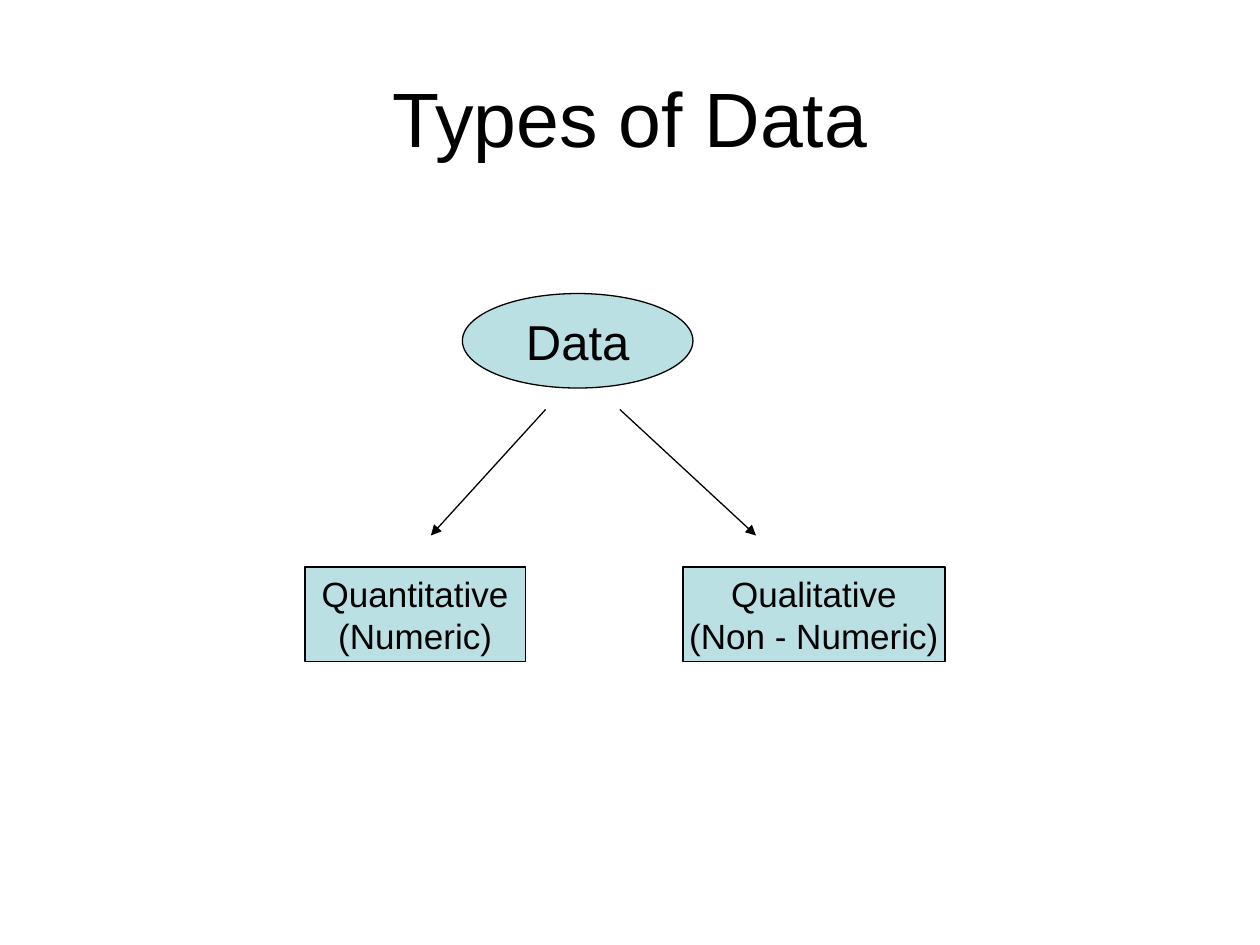
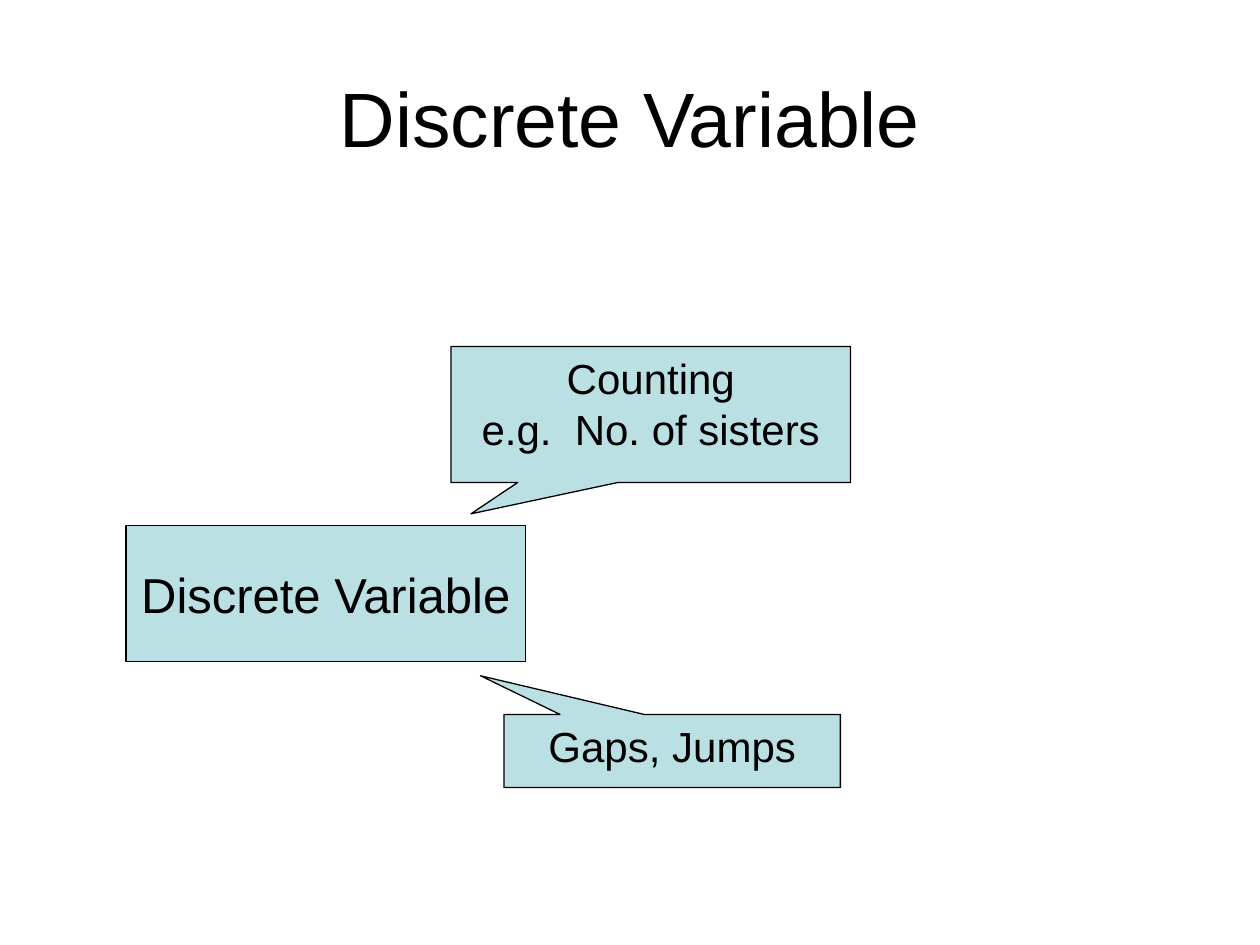
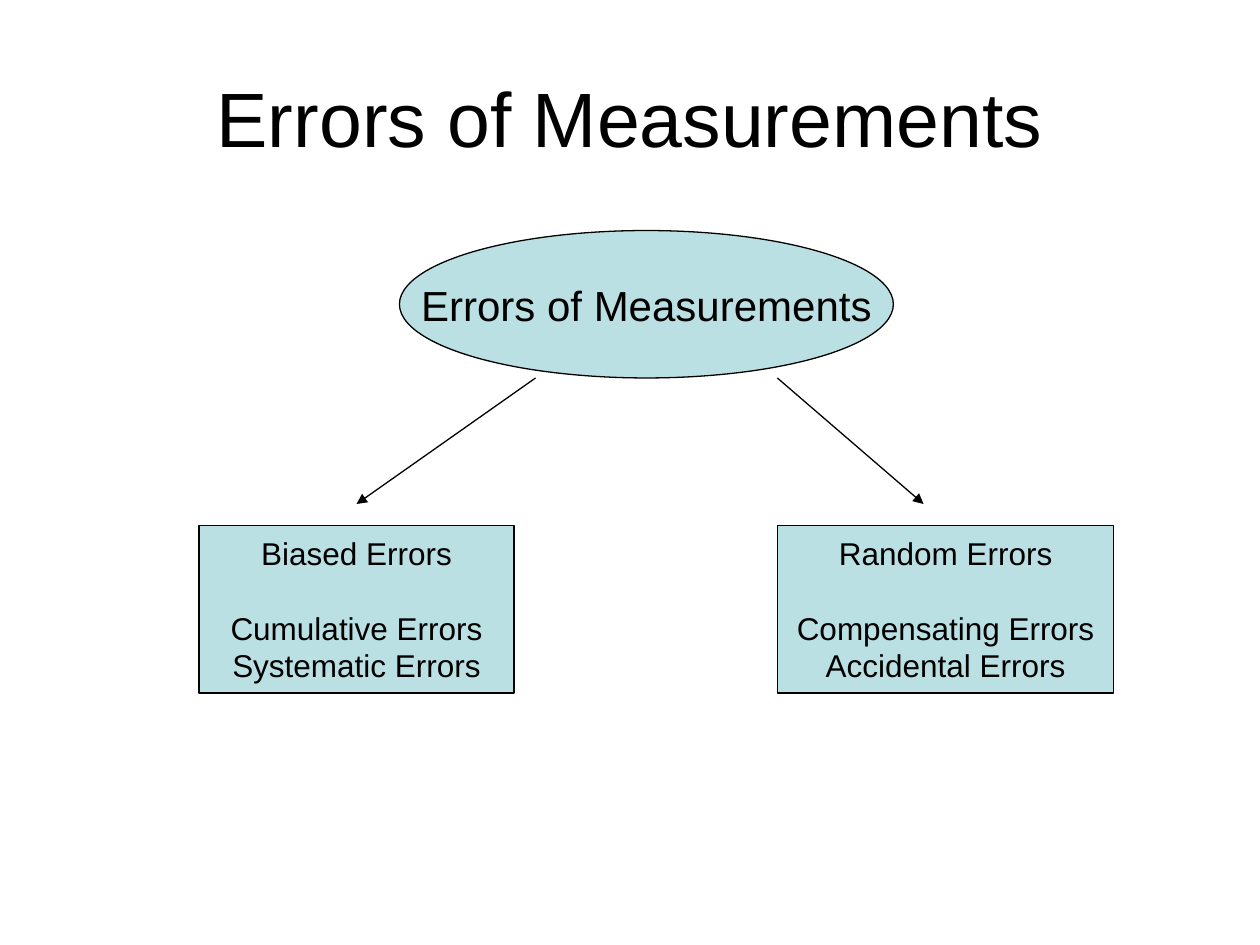
"""Build three slides on data types, discrete variables and measurement errors."""
import pptx
import pptx.util
import pptx.dml.color
import pptx.enum.shapes
import pptx.enum.text
import pptx.oxml
import pptx.oxml.ns

Inches = pptx.util.Inches
Pt = pptx.util.Pt
colour = pptx.dml.color.RGBColor.from_string
Shape = pptx.enum.shapes.MSO_SHAPE
Anchor = pptx.enum.text.MSO_ANCHOR
CENTER = pptx.enum.text.PP_ALIGN.CENTER

BLACK = "000000"
PALE_TEAL = "BBE0E3"
FONT = "Arial"
LINE_WIDTH = Pt(0.75)
GROUP_GAP = Pt(21)


def write_text(shape, groups, size):
    """Write centred lines, with a gap before each group after the first."""
    frame = shape.text_frame
    lines = [(line, bool(g and not i)) for g, group in enumerate(groups) for i, line in enumerate(group)]
    for number, (line, gap) in enumerate(lines):
        para = frame.add_paragraph() if number else frame.paragraphs[0]
        para.alignment = CENTER
        if gap:
            para.space_before = GROUP_GAP
        span = para.add_run()
        span.text = line
        for name, value in {"name": FONT, "size": Pt(size), "bold": False}.items():
            setattr(span.font, name, value)
        span.font.color.rgb = colour(BLACK)


def add_box(page, kind, place, groups, size):
    """Add a filled, outlined shape holding the groups of lines."""
    box = page.shapes.add_shape(kind, *map(Inches, place))
    box.shadow.inherit = False
    box.fill.solid()
    box.fill.fore_color.rgb = colour(PALE_TEAL)
    box.line.color.rgb = colour(BLACK)
    box.line.width = LINE_WIDTH
    callout = kind == Shape.RECTANGULAR_CALLOUT
    box.text_frame.word_wrap = callout
    box.text_frame.vertical_anchor = Anchor.TOP if callout else Anchor.MIDDLE
    write_text(box, groups, size)
    return box


deck = pptx.Presentation()
deck.slide_width, deck.slide_height = Inches(10), Inches(7.5)

pages = []
for heading in ["Types of Data", "Discrete Variable", "Errors of Measurements"]:
    page = deck.slides.add_slide(deck.slide_layouts.get_by_name("Title Only"))
    title = page.shapes.title
    place = {"left": 0.5, "top": 0.3, "width": 9, "height": 1.25}
    for name, value in place.items():
        setattr(title, name, Inches(value))
    title.text_frame.vertical_anchor = Anchor.MIDDLE
    write_text(title, [[heading]], 44)
    pages.append(page)
types_page, discrete_page, errors_page = pages

trees = [
    (
        types_page,
        ((3.67, 2.33, 1.83, 0.75), "Data", 28),
        [((4.33, 3.25), (3.42, 4.25)), ((4.92, 3.25), (6, 4.25))],
        [
            ((2.42, 4.5, 1.75, 0.75), [["Quantitative", "(Numeric)"]]),
            ((5.42, 4.5, 2.08, 0.75), [["Qualitative", "(Non - Numeric)"]]),
        ],
        20,
    ),
    (
        errors_page,
        ((3.17, 1.83, 3.92, 1.17), "Errors of Measurements", 24),
        [((4.25, 3), (2.83, 4)), ((6.17, 3), (7.33, 4))],
        [
            ((1.58, 4.17, 2.5, 1.33), [["Biased Errors"], ["Cumulative Errors", "Systematic Errors"]]),
            ((6.17, 4.17, 2.67, 1.33), [["Random Errors"], ["Compensating Errors", "Accidental Errors"]]),
        ],
        18,
    ),
]
for page, (root_place, root_label, root_size), arrows, branches, branch_size in trees:
    add_box(page, Shape.OVAL, root_place, [[root_label]], root_size)
    for start, end in arrows:
        arrow = page.shapes.add_connector(
            pptx.enum.shapes.MSO_CONNECTOR.STRAIGHT, *map(Inches, start + end)
        )
        arrow.line.color.rgb = colour(BLACK)
        arrow.line.width = LINE_WIDTH
        head = pptx.oxml.parse_xml(f'<a:tailEnd {pptx.oxml.ns.nsdecls("a")} type="triangle"/>')
        arrow.line._get_or_add_ln().append(head)
        no_effects = pptx.oxml.parse_xml(f'<a:effectLst {pptx.oxml.ns.nsdecls("a")}/>')
        arrow._element.spPr.append(no_effects)
    for place, groups in branches:
        add_box(page, Shape.RECTANGLE, place, groups, branch_size)

add_box(discrete_page, Shape.RECTANGLE, (1, 4.17, 3.17, 1.08), [["Discrete Variable"]], 28)
callouts = [
    ((3.58, 2.75, 3.17, 1.08), ["Counting", "e.g.  No. of sisters"], (-0.45, 0.73)),
    ((4, 5.67, 2.67, 0.58), ["Gaps, Jumps"], (-0.57, -1.03)),
]
for place, lines, pointer in callouts:
    callout = add_box(discrete_page, Shape.RECTANGULAR_CALLOUT, place, [lines], 24)
    for index, offset in enumerate(pointer):
        callout.adjustments[index] = offset

deck.save("out.pptx")
